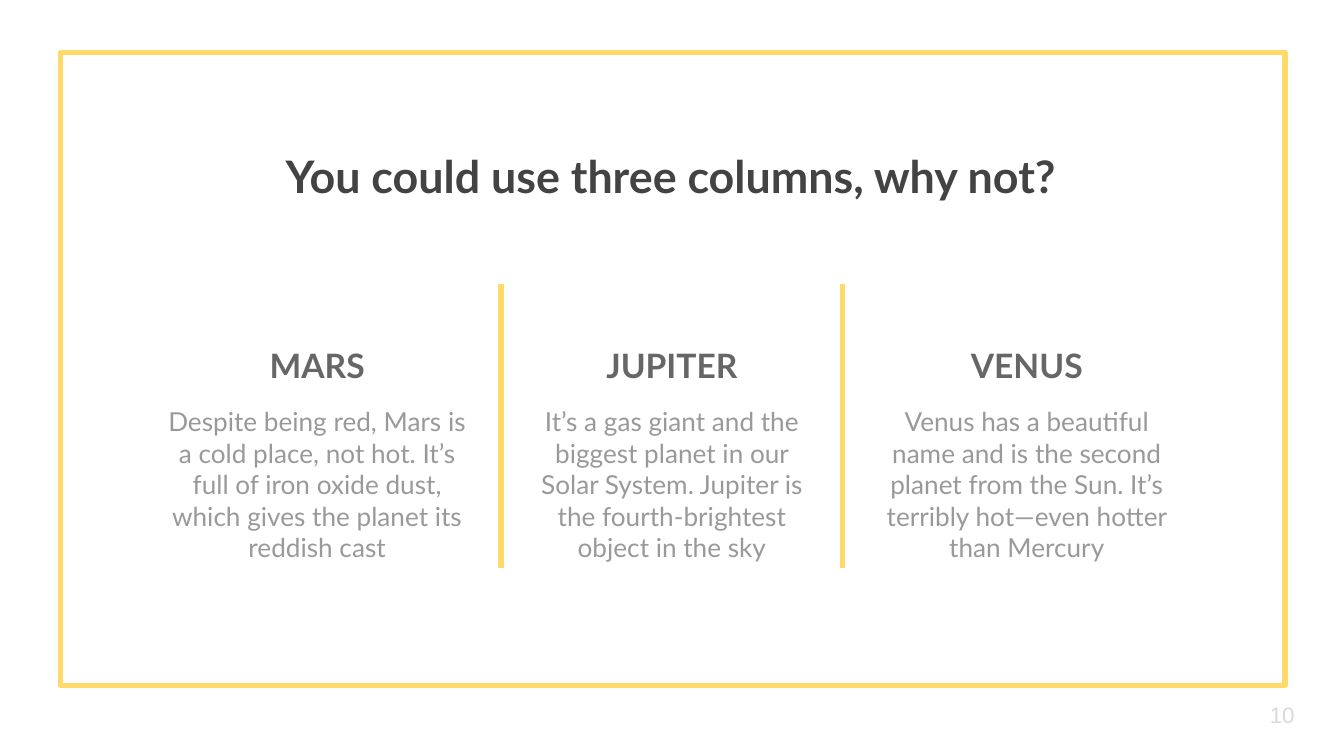
from dataclasses import dataclass

from lxml import etree
from pptx import Presentation
from pptx.dml.color import RGBColor
from pptx.enum.shapes import MSO_CONNECTOR, MSO_SHAPE
from pptx.enum.text import MSO_ANCHOR, MSO_AUTO_SIZE, PP_ALIGN
from pptx.oxml.ns import qn
from pptx.util import Inches, Pt

STRAIGHT = MSO_CONNECTOR.STRAIGHT
RECTANGLE = MSO_SHAPE.RECTANGLE
TOP, MIDDLE, BOTTOM = MSO_ANCHOR.TOP, MSO_ANCHOR.MIDDLE, MSO_ANCHOR.BOTTOM
LEFT, CENTER = PP_ALIGN.LEFT, PP_ALIGN.CENTER
NO_AUTOFIT = MSO_AUTO_SIZE.NONE

YELLOW = RGBColor(0xFF, 0xD9, 0x69)
DARK_GRAY = RGBColor(0x43, 0x43, 0x43)
HEADING_GRAY = RGBColor(0x66, 0x66, 0x66)
BODY_GRAY = RGBColor(0x99, 0x99, 0x99)
NUMBER_GRAY = RGBColor(0xD9, 0xD9, 0xD9)

SLIDE_WIDTH = 10
SLIDE_HEIGHT = SLIDE_WIDTH * 9 / 16
TITLE_ONLY_LAYOUT = 5
LINE_WIDTH = Pt(3)
INSET = Inches(0.1)

COLUMN_PITCH = 2.64
COLUMN_WIDTH = 2.31
DIVIDER_OFFSET = 1.27
DIVIDER_TOP, DIVIDER_BOTTOM = 2.11, 4.23
HEADING_TOP, HEADING_HEIGHT = 2.26, 0.71
BODY_TOP, BODY_HEIGHT = 2.92, 1.7


@dataclass(frozen=True)
class TextStyle:
    size: int
    color: RGBColor
    font: str = "Lato"
    bold: bool = False
    alignment: PP_ALIGN = CENTER
    anchor: MSO_ANCHOR = TOP


@dataclass(frozen=True)
class Column:
    heading: str
    body: str
    body_width: float = COLUMN_WIDTH


TITLE_STYLE = TextStyle(24, DARK_GRAY, bold=True)
HEADING_STYLE = TextStyle(18, HEADING_GRAY, bold=True, anchor=BOTTOM)
BODY_STYLE = TextStyle(14, BODY_GRAY)
NUMBER_STYLE = TextStyle(12, NUMBER_GRAY, "Arial", alignment=LEFT, anchor=MIDDLE)

COLUMNS = [
    Column("MARS", "Despite being red, Mars is a cold place, not hot. It’s full of iron "
           "oxide dust, which gives the planet its reddish cast", body_width=2.48),
    Column("JUPITER", "It’s a gas giant and the biggest planet in our Solar System. "
           "Jupiter is the fourth-brightest object in the sky"),
    Column("VENUS", "Venus has a beautiful name and is the second planet from the Sun. "
           "It’s terribly hot—even hotter than Mercury"),
]


def write_text(shape, text: str, style: TextStyle) -> None:
    frame = shape.text_frame
    frame.text = text
    frame.word_wrap = True
    frame.auto_size = NO_AUTOFIT
    frame.vertical_anchor = style.anchor
    frame.margin_left = frame.margin_right = INSET
    frame.margin_top = frame.margin_bottom = INSET
    paragraph = frame.paragraphs[0]
    paragraph.alignment = style.alignment
    paragraph.font.name = style.font
    paragraph.font.size = Pt(style.size)
    paragraph.font.bold = style.bold
    paragraph.font.color.rgb = style.color


def add_text(slide, left: float, top: float, width: float, height: float,
             text: str, style: TextStyle) -> None:
    box = slide.shapes.add_textbox(Inches(left), Inches(top), Inches(width), Inches(height))
    write_text(box, text, style)


def add_frame(slide) -> None:
    frame = slide.shapes.add_shape(RECTANGLE, Inches(0.45), Inches(0.39),
                                   Inches(9.11), Inches(4.71))
    frame.shadow.inherit = False
    frame.fill.background()
    frame.line.color.rgb = YELLOW
    frame.line.width = LINE_WIDTH


def add_title(slide, text: str) -> None:
    title = slide.shapes.title
    title.left, title.top = Inches(-0.01), Inches(1.01)
    title.width, title.height = Inches(SLIDE_WIDTH), Inches(0.53)
    write_text(title, text, TITLE_STYLE)


def add_divider(slide, x: float) -> None:
    divider = slide.shapes.add_connector(STRAIGHT, Inches(x), Inches(DIVIDER_TOP),
                                         Inches(x), Inches(DIVIDER_BOTTOM))
    divider.line.color.rgb = YELLOW
    divider.line.width = LINE_WIDTH
    etree.SubElement(divider._element.spPr, qn("a:effectLst"))


def add_column(slide, center: float, column: Column) -> None:
    add_text(slide, center - COLUMN_WIDTH / 2, HEADING_TOP, COLUMN_WIDTH, HEADING_HEIGHT,
             column.heading, HEADING_STYLE)
    add_text(slide, center - column.body_width / 2, BODY_TOP, column.body_width, BODY_HEIGHT,
             column.body, BODY_STYLE)


def main() -> None:
    presentation = Presentation()
    presentation.slide_width = Inches(SLIDE_WIDTH)
    presentation.slide_height = Inches(SLIDE_HEIGHT)
    slide = presentation.slides.add_slide(presentation.slide_layouts[TITLE_ONLY_LAYOUT])

    add_frame(slide)
    add_title(slide, "You could use three columns, why not?")
    middle = SLIDE_WIDTH / 2
    for side in (-1, 1):
        add_divider(slide, middle + side * DIVIDER_OFFSET)
    for position, column in enumerate(COLUMNS, start=-1):
        add_column(slide, middle + position * COLUMN_PITCH, column)
    add_text(slide, 9.35, 5.1, 0.6, 0.43, "10", NUMBER_STYLE)

    presentation.save("out.pptx")


if __name__ == "__main__":
    main()
